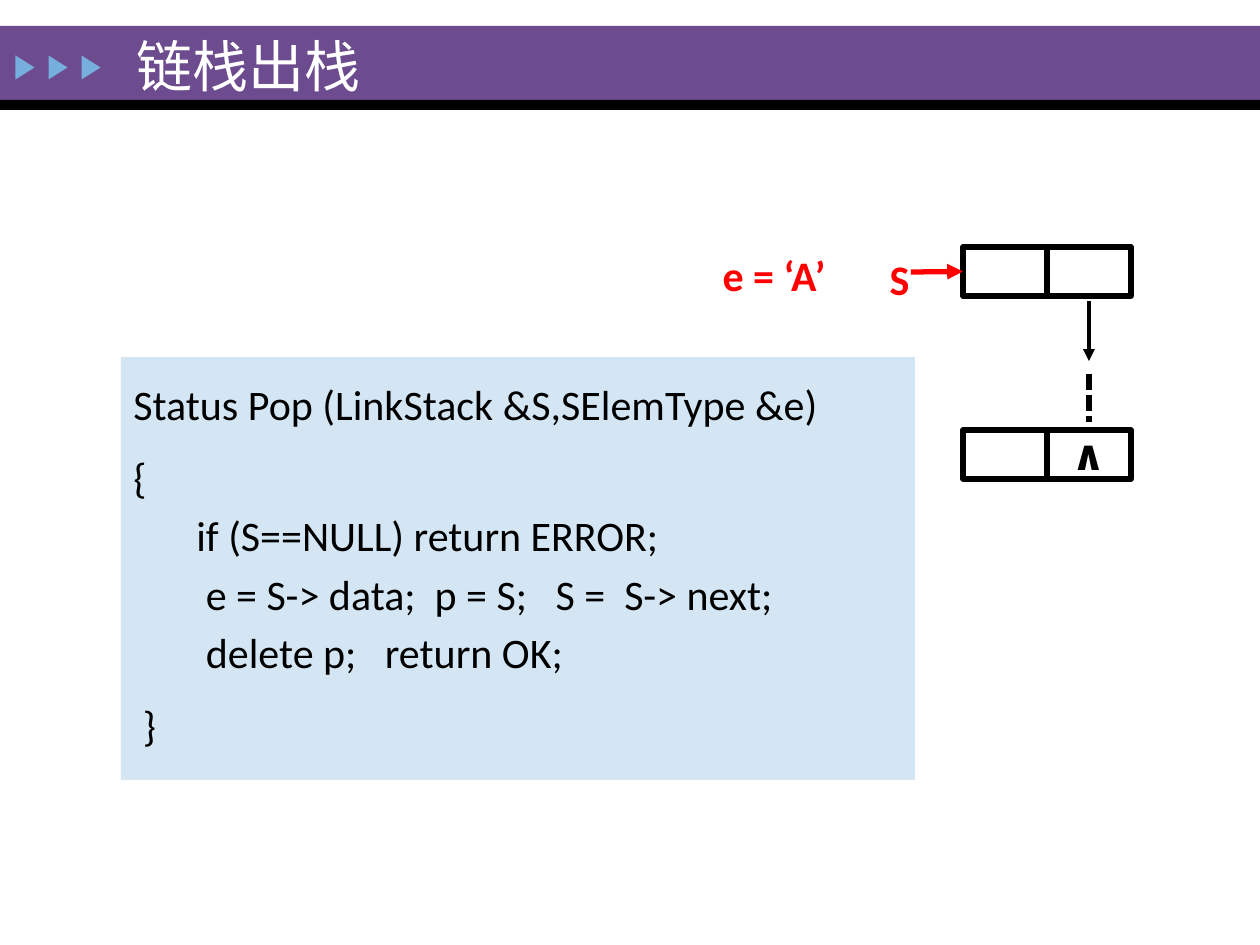
import pptx
import pptx.dml.color
import pptx.enum.dml
import pptx.enum.shapes
import pptx.enum.text
import pptx.oxml
import pptx.oxml.ns
import pptx.util

EMU_PER_PX = 914400 / 126
COLORS = {"purple": "6C4C8F", "black": "000000", "sky": "76AEDD",
          "pale": "D4E6F4", "white": "FFFFFF", "red": "FF0000"}
SHAPES = pptx.enum.shapes.MSO_SHAPE
ANCHORS = pptx.enum.text.MSO_ANCHOR
ALIGNS = pptx.enum.text.PP_ALIGN
NODE_WIDTH, NODE_HEIGHT = 168, 49
CODE = [("Status Pop (LinkStack &S,SElemType &e)", 0),
        ("{", 0),
        ("if (S==NULL) return ERROR;", 1),
        (" e = S-> data;  p = S;   S =  S-> next;", 1),
        (" delete p;   return OK;", 1),
        (" }", 0)]


def px(length):
    """Turn pixels into EMU."""
    return pptx.util.Emu(round(length * EMU_PER_PX))


def rgb(name):
    """Look up a named colour."""
    return pptx.dml.color.RGBColor.from_string(COLORS[name])


def add_block(page, kind, left, top, width, height, fill, line=None):
    """Add a filled preset shape, outlined only when a line colour is given."""
    block = page.shapes.add_shape(kind, px(left), px(top), px(width), px(height))
    block.shadow.inherit = False
    block.fill.solid()
    block.fill.fore_color.rgb = rgb(fill)
    if line:
        block.line.color.rgb = rgb(line)
        block.line.width = pptx.util.Pt(3)
    else:
        block.line.fill.background()
    return block


def add_span(para, text, size, font, color, bold=False):
    """Add one styled run to a paragraph."""
    span = para.add_run()
    span.text = text
    span.font.size = pptx.util.Pt(size)
    span.font.name = font
    span.font.bold = bold
    span.font.color.rgb = rgb(color)


def add_label(page, left, top, width, height, text, color):
    """Add a centred bold label."""
    box = page.shapes.add_textbox(px(left), px(top), px(width), px(height))
    box.text_frame.word_wrap = True
    para = box.text_frame.paragraphs[0]
    para.alignment = ALIGNS.CENTER
    add_span(para, text, 24, "Calibri", color, bold=True)


def add_line(page, start, end, color="black", width=3, arrow=False, dotted=False):
    """Add a straight connector between two points."""
    line = page.shapes.add_connector(
        pptx.enum.shapes.MSO_CONNECTOR.STRAIGHT, *map(px, start + end))
    line.line.color.rgb = rgb(color)
    line.line.width = pptx.util.Pt(width)
    if dotted:
        line.line.dash_style = pptx.enum.dml.MSO_LINE.SQUARE_DOT
    if arrow:
        tail = pptx.oxml.parse_xml(
            f'<a:tailEnd {pptx.oxml.ns.nsdecls("a")} type="triangle"/>')
        line.line._get_or_add_ln().append(tail)
    line._element.spPr.append(pptx.oxml.parse_xml(
        f'<a:effectLst {pptx.oxml.ns.nsdecls("a")}/>'))
    return line


def add_header(page, left, top, width, height, title):
    """Add the title band with its rule and three pointers."""
    band = height - 10
    add_block(page, SHAPES.RECTANGLE, left, top, width, band, "purple")
    add_block(page, SHAPES.RECTANGLE, left, top + band, width, 10, "black")
    for index in range(3):
        pointer = add_block(page, SHAPES.ISOSCELES_TRIANGLE,
                            left + 13 + 33 * index, top + 32, 24, 19, "sky")
        pointer.rotation = 90
    box = page.shapes.add_textbox(px(left + 124), px(top + 4), px(469), px(band - 4))
    box.text_frame.word_wrap = True
    box.text_frame.vertical_anchor = ANCHORS.MIDDLE
    add_span(box.text_frame.paragraphs[0], title, 32, "Times New Roman", "white")


def add_code(page, left, top, width, height, lines):
    """Add the panel of code lines, indented by level."""
    panel = add_block(page, SHAPES.RECTANGLE, left, top, width, height, "pale")
    frame = panel.text_frame
    frame.word_wrap = True
    frame.vertical_anchor = ANCHORS.TOP
    for index, (text, level) in enumerate(lines):
        para = frame.add_paragraph() if index else frame.paragraphs[0]
        para.alignment = ALIGNS.LEFT
        para.level = level
        margin, indent = (63, 0) if level else (48, -48)
        properties = para._p.get_or_add_pPr()
        properties.set("marL", str(px(margin)))
        properties.set("indent", str(px(indent)))
        para.line_spacing = 1.0 if level else 1.3
        para.space_before = pptx.util.Pt(4.5 if index else 0)
        add_span(para, text, 24, "Calibri", "black")


def add_node(page, left, top):
    """Add a list node split into data and next cells."""
    node = add_block(page, SHAPES.RECTANGLE, left, top,
                     NODE_WIDTH, NODE_HEIGHT, "white", "black")
    middle = left + NODE_WIDTH // 2
    divider = add_line(page, (middle, top), (middle, top + NODE_HEIGHT))
    divider.begin_connect(node, 0)
    divider.end_connect(node, 2)
    return node


def add_stack(page, left, top):
    """Add the linked stack with its top pointer and popped value."""
    node_left = left + 299
    next_center = node_left + NODE_WIDTH * 3 // 4
    head = add_node(page, node_left, top)
    add_node(page, node_left, top + 183)
    add_line(page, (next_center, top + 54), (next_center, top + 114),
             width=2.25, arrow=True)
    add_line(page, (next_center, top + 127), (next_center, top + 175), dotted=True)
    add_label(page, next_center - 32, top + 175, 63, 63, "∧", "black")
    add_label(page, left, top - 4, 220, 63, "e = ‘A’", "red")
    pointer = add_line(page, (left + 247, top + 25), (node_left, top + 25),
                       color="red", arrow=True)
    pointer.end_connect(head, 1)
    add_label(page, left + 204, top, 63, 63, "S", "red")


def main():
    """Build and save the deck."""
    deck = pptx.Presentation()
    deck.slide_width, deck.slide_height = px(1260), px(945)
    page = deck.slides.add_slide(deck.slide_layouts[6])
    add_header(page, 0, 26, 1260, 84, "链栈出栈")
    add_code(page, 121, 357, 794, 423, CODE)
    add_stack(page, 664, 247)
    deck.save("out.pptx")


if __name__ == "__main__":
    main()
